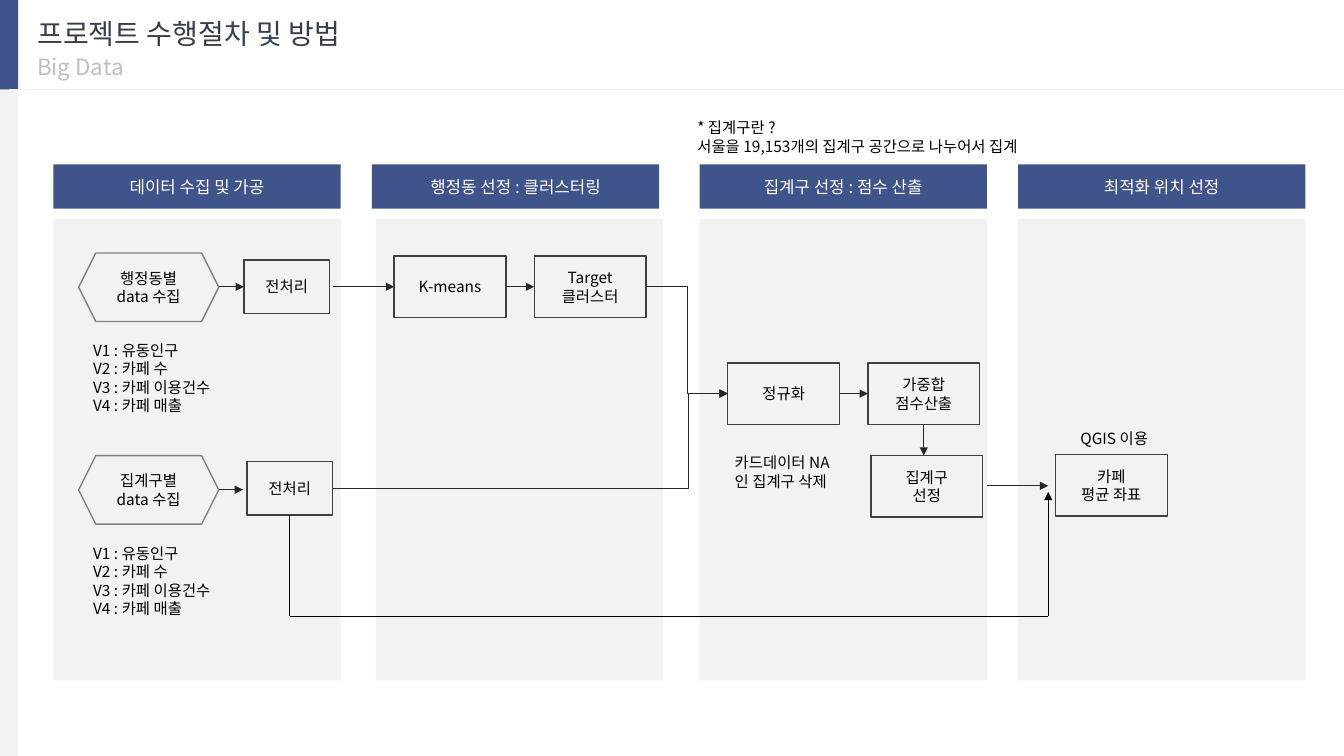
from pptx import Presentation, util as u
from pptx.dml.color import RGBColor
from pptx.enum import shapes, text
from pptx.oxml.ns import qn
from lxml import etree

COLS, ROWS = 160, 90
CELL = u.Inches(13.333) / COLS
TOP, LEFT, BOTTOM, RIGHT = range(4)


def cells(count):
    return u.Emu(round(count * CELL))


def color(hex_string):
    return RGBColor.from_string(hex_string)


def is_joint(end):
    """Tell a (shape, side) joint from an (x, y) point."""
    return hasattr(end[0], "shape_id")


class FlowSlide:
    """Style and current slide; every length is in grid cells (160 x 90)."""
    FONT = "Noto Sans CJK KR"
    NAVY, PALE, WHITE, BLACK = "40548C", "F2F2F2", "FFFFFF", "000000"
    ARROW = "262626"

    def __init__(self, deck):
        self.slide = deck.slides.add_slide(deck.slide_layouts[5])

    def fill_text(self, frame, wording, size, ink, align, anchor):
        frame.text = wording
        frame.word_wrap = True
        frame.auto_size = text.MSO_AUTO_SIZE.NONE
        frame.vertical_anchor = anchor
        for paragraph in frame.paragraphs:
            paragraph.alignment = align
            for run in paragraph.runs:
                run.font.name = self.FONT
                run.font.size = u.Pt(size)
                run.font.color.rgb = color(ink)
                east_asian = etree.SubElement(run._r.get_or_add_rPr(), qn("a:ea"))
                east_asian.set("typeface", self.FONT)

    def title(self, wording, x, y, w, h):
        heading = self.slide.shapes.title
        heading.left, heading.top, heading.width, heading.height = map(cells, (x, y, w, h))
        self.fill_text(heading.text_frame, wording, 20, "383C4F",
                       text.PP_ALIGN.LEFT, text.MSO_ANCHOR.TOP)

    def label(self, wording, x, y, w, h, size=11, ink=BLACK):
        box = self.slide.shapes.add_textbox(*map(cells, (x, y, w, h)))
        self.fill_text(box.text_frame, wording, size, ink,
                       text.PP_ALIGN.LEFT, text.MSO_ANCHOR.TOP)

    def shape(self, x, y, w, h, wording="", fill=None, line=None, size=11, ink=BLACK,
              kind=shapes.MSO_SHAPE.RECTANGLE):
        block = self.slide.shapes.add_shape(kind, *map(cells, (x, y, w, h)))
        block.shadow.inherit = False
        if fill:
            block.fill.solid()
            block.fill.fore_color.rgb = color(fill)
        else:
            block.fill.background()
        if line:
            block.line.color.rgb = color(line)
            block.line.width = u.Pt(1)
        else:
            block.line.fill.background()
        if wording:
            self.fill_text(block.text_frame, wording, size, ink,
                           text.PP_ALIGN.CENTER, text.MSO_ANCHOR.MIDDLE)
        return block

    def step(self, wording, x, y, w=13.32, h=7.32):
        return self.shape(x, y, w, h, wording, line="404040")

    def line(self, start, end, ink=ARROW, arrow=True, bend=None):
        """Link two ends, each an (x, y) point or a (shape, side) joint.

        bend is the share of the width at which an elbow turns.
        """
        kind = shapes.MSO_CONNECTOR.ELBOW if bend else shapes.MSO_CONNECTOR.STRAIGHT
        places = [(0, 0) if is_joint(place) else place for place in (start, end)]
        link = self.slide.shapes.add_connector(
            kind, *(cells(value) for place in places for value in place))
        if is_joint(start):
            link.begin_connect(*start)
        if is_joint(end):
            link.end_connect(*end)
        link.line.color.rgb = color(ink)
        link.line.width = u.Pt(0.5)
        properties = link._element.spPr
        if arrow:
            etree.SubElement(properties.find(qn("a:ln")), qn("a:tailEnd")).set("type", "triangle")
        if bend:
            geometry = properties.find(qn("a:prstGeom"))
            guides = geometry.find(qn("a:avLst"))
            if guides is None:
                guides = etree.SubElement(geometry, qn("a:avLst"))
            guide = etree.SubElement(guides, qn("a:gd"))
            guide.set("name", "adj1")
            guide.set("fmla", f"val {round(bend * 100000)}")
        etree.SubElement(properties, qn("a:effectLst"))


def main():
    deck = Presentation()
    deck.slide_width, deck.slide_height = cells(COLS), cells(ROWS)
    flow = FlowSlide(deck)

    flow.shape(0, 0, 2.16, 10.68, fill=flow.NAVY)
    flow.shape(0, 10.68, 2.16, 79.32, fill=flow.PALE)
    flow.line((1.08, 10.68), (COLS, 10.68), ink=flow.PALE, arrow=False)
    flow.title("프로젝트 수행절차 및 방법", 3.24, 1.32, 46, 5.28)
    flow.label("Big Data", 3.24, 5.76, 29.4, 4.44, size=16, ink="BFBFBF")

    stages = [("데이터 수집 및 가공", 6.36, 6.36), ("행정동 선정 : 클러스터링", 44.28, 44.76),
              ("집계구 선정 : 점수 산출", 83.28, 83.28), ("최적화 위치 선정", 121.2, 121.2)]
    for stage, header_x, panel_x in stages:
        flow.shape(header_x, 19.56, 34.2, 5.28, stage, fill=flow.NAVY, size=12, ink=flow.WHITE)
        flow.shape(panel_x, 26.04, 34.2, 54.96, fill=flow.PALE)

    variables = "V1 : 유동인구\nV2 : 카페 수\nV3 : 카페 이용건수\nV4 : 카페 매출"
    for source, y in (("행정동별", 30.12), ("집계구별", 54.24)):
        flow.shape(9.36, y, 16.68, 8.16, f"{source}\ndata 수집", line="808080",
                   kind=shapes.MSO_SHAPE.HEXAGON)
        flow.label(variables, 9.9, y + 9.9, 16.68, 10.08)

    district_prep = flow.step("전처리", 29.04, 30.96, 10.2, 6.36)
    area_prep = flow.step("전처리", 29.4, 54.96, 10.2, 6.36)
    k_means = flow.step("K-means", 46.92, 30.48)
    target = flow.step("Target\n클러스터", 63.6, 30.48)
    normalize = flow.step("정규화", 86.64, 43.2)
    score = flow.step("가중합\n점수산출", 103.32, 43.2)
    flow.step("집계구\n선정", 103.68, 54.24)
    flow.step("카페\n평균 좌표", 125.64, 54.12)

    flow.label("카드데이터 NA 인 집계구 삭제", 86.28, 53.4, 14.28, 5.64)
    flow.label("QGIS 이용", 127.44, 50.52, 14.28, 3.48)
    flow.label("* 집계구란 ?\n서울을 19,153개의 집계구 공간으로 나누어서 집계", 81.84, 13.5, 49.2, 6.24)

    flow.line((26.04, 34.14), (district_prep, LEFT))
    flow.line((26.04, 58.3), (28.92, 58.3))
    flow.line((39.6, 34.14), (k_means, LEFT))
    flow.line((k_means, RIGHT), (target, LEFT))
    flow.line((target, RIGHT), (normalize, LEFT), bend=0.5)
    flow.line((area_prep, RIGHT), (normalize, LEFT), bend=0.9)
    flow.line((normalize, RIGHT), (score, LEFT))
    flow.line((score, BOTTOM), (109.98, 54.24))
    flow.line((117.48, 57.84), (124.8, 57.84))

    detour_x, detour_y = 124.8, 73.32
    flow.line((area_prep, BOTTOM), (34.5, detour_y), ink=flow.BLACK, arrow=False)
    flow.line((34.5, detour_y), (detour_x, detour_y), ink=flow.BLACK, arrow=False)
    flow.line((detour_x, detour_y), (detour_x, 58.56), ink=flow.BLACK)

    deck.save("out.pptx")


if __name__ == "__main__":
    main()
